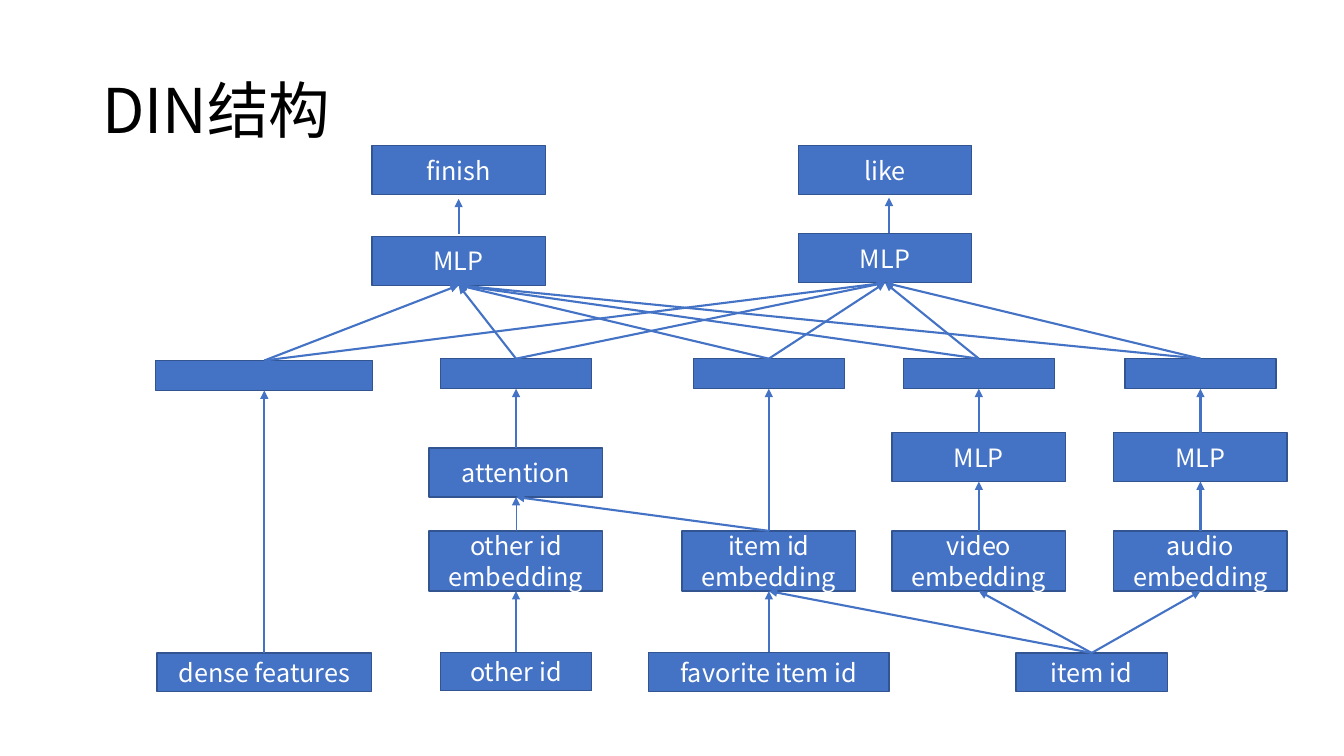
from dataclasses import dataclass

from lxml import etree
from pptx import Presentation
from pptx import util as u
from pptx.dml.color import RGBColor
from pptx.enum import shapes, text
from pptx.oxml import ns

FONT = "Noto Sans CJK SC"
BLUE, EDGE, WHITE, BLACK = "4472C4", "325491", "FFFFFF", "000000"
TOP, BOTTOM = 0, 2  # connection sites of a rectangle

# Column centres
DENSE, OTHER, FAVORITE, VIDEO, AUDIO = 188.8, 368.6, 549.2, 699.2, 857.5
FINISH, LIKE, ITEM = 327.6, 632.2, 779.8


@dataclass(frozen=True)
class Node:
    key: str
    centre: float
    top: float
    width: float
    height: float
    label: str = ""


@dataclass(frozen=True)
class Edge:
    start: str
    end: str
    weight: float = 1.5


def colour(value: str) -> RGBColor:
    return RGBColor.from_string(value)


def apply(target, values: dict) -> None:
    for name, value in values.items():
        setattr(target, name, value)


def write(box, content: str, size: float, ink: str, paragraph_format: dict) -> None:
    frame = box.text_frame
    apply(frame, {"word_wrap": True, "vertical_anchor": text.MSO_ANCHOR.MIDDLE})
    frame.text = content
    for para in frame.paragraphs:
        apply(para, paragraph_format)
        for span in para.runs:
            apply(span.font, {"name": FONT, "size": u.Pt(size)})
            span.font.color.rgb = colour(ink)
            east_asian = etree.SubElement(span.font._element, ns.qn("a:ea"))
            east_asian.set("typeface", FONT)


def draw_node(page, node: Node):
    box = page.shapes.add_shape(
        shapes.MSO_SHAPE.RECTANGLE, u.Pt(node.centre - node.width / 2),
        u.Pt(node.top), u.Pt(node.width), u.Pt(node.height))
    box.shadow.inherit = False
    box.fill.solid()
    box.fill.fore_color.rgb = colour(BLUE)
    box.line.color.rgb = colour(EDGE)
    box.line.width = u.Pt(1)
    if node.label:
        write(box, node.label, 18, WHITE, {"alignment": text.PP_ALIGN.CENTER})
    return box


def draw_arrow(page, x1: float, y1: float, x2: float, y2: float, weight: float = 1.5):
    arrow = page.shapes.add_connector(
        shapes.MSO_CONNECTOR.STRAIGHT, u.Pt(x1), u.Pt(y1), u.Pt(x2), u.Pt(y2))
    arrow.line.color.rgb = colour(BLUE)
    arrow.line.width = u.Pt(weight)
    outline = arrow.line._get_or_add_ln()
    etree.SubElement(outline, ns.qn("a:tailEnd")).set("type", "triangle")
    etree.SubElement(arrow._element.spPr, ns.qn("a:effectLst"))
    return arrow


def draw_edge(page, boxes: dict, edge: Edge) -> None:
    arrow = draw_arrow(page, 0, 0, 0, 0, edge.weight)
    arrow.begin_connect(boxes[edge.start], TOP)
    arrow.end_connect(boxes[edge.end], BOTTOM)


# Layers of the network, from inputs to outputs
nodes = [
    Node("dense", DENSE, 466.4, 153, 27.5, "dense features"),
    Node("other", OTHER, 466, 108, 27.5, "other id"),
    Node("favorite", FAVORITE, 466, 171.5, 28, "favorite item id"),
    Node("item", ITEM, 466.4, 108, 27.5, "item id"),
    Node("other embedding", OTHER, 379.2, 124, 43, "other id embedding"),
    Node("item embedding", FAVORITE, 379.2, 124, 43, "item id embedding"),
    Node("video embedding", VIDEO, 379.2, 124, 43, "video\nembedding"),
    Node("audio embedding", AUDIO, 379.2, 124, 43, "audio\nembedding"),
    Node("attention", OTHER, 320, 124, 35, "attention"),
    Node("video mlp", VIDEO, 309, 124, 35, "MLP"),
    Node("audio mlp", AUDIO, 309, 124, 35, "MLP"),
    Node("dense vector", DENSE, 257.5, 155, 21.5),
    Node("finish mlp", FINISH, 168.8, 124, 35, "MLP"),
    Node("like mlp", LIKE, 167, 124, 35, "MLP"),
    Node("finish", FINISH, 104, 124, 35, "finish"),
    Node("like", LIKE, 104, 124, 35, "like"),
]
vectors = {"other vector": OTHER, "favorite vector": FAVORITE,
           "video vector": VIDEO, "audio vector": AUDIO}
nodes += [Node(key, centre, 256.2, 108, 21.5) for key, centre in vectors.items()]

edges = [
    Edge("dense", "dense vector"),
    Edge("other", "other embedding"),
    Edge("other embedding", "attention", 0.5),
    Edge("item embedding", "attention"),
    Edge("attention", "other vector"),
    Edge("favorite", "item embedding"),
    Edge("item embedding", "favorite vector"),
]
for medium in ("video", "audio"):
    edges += [Edge(f"{medium} embedding", f"{medium} mlp"),
              Edge(f"{medium} mlp", f"{medium} vector")]
edges += [Edge("item", f"{kind} embedding") for kind in ("item", "video", "audio")]
edges += [Edge(vector, tower) for tower in ("finish mlp", "like mlp")
          for vector in ("dense vector", *vectors)]

deck = Presentation()
apply(deck, {"slide_width": u.Pt(960), "slide_height": u.Pt(540)})
page = deck.slides.add_slide(deck.slide_layouts[6])

# Title
title = page.shapes.add_textbox(u.Pt(66), u.Pt(28.8), u.Pt(828), u.Pt(104.4))
write(title, "DIN结构", 44, BLACK, {"line_spacing": 0.9})

# Boxes and the arrows attached to them
boxes = {node.key: draw_node(page, node) for node in nodes}
for edge in edges:
    draw_edge(page, boxes, edge)

# Output arrows stop just short of their boxes
draw_arrow(page, FINISH, 167, FINISH, 142)
draw_arrow(page, 635, 166.2, 635, 141.2)

deck.save("out.pptx")
